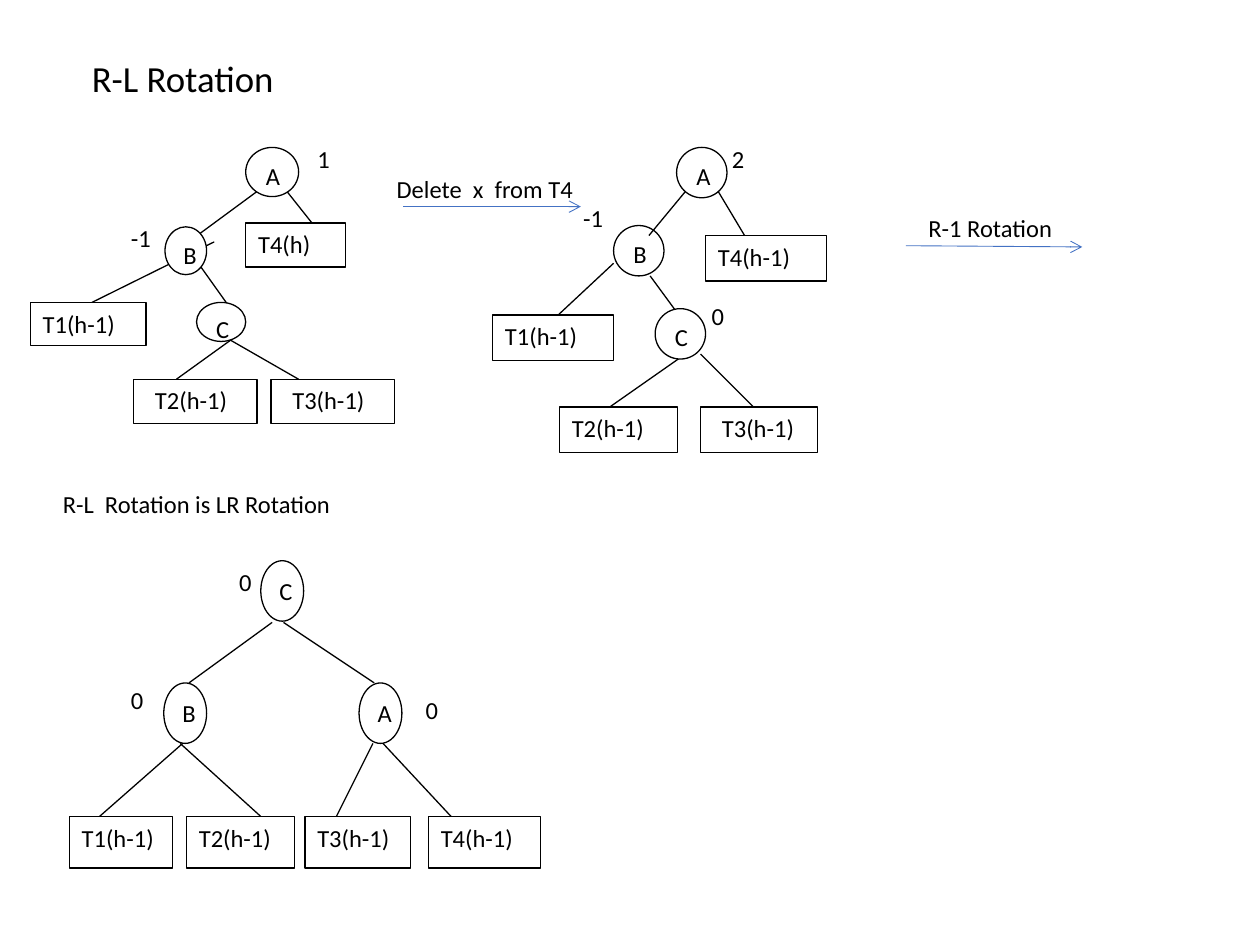
from lxml import etree
from pptx import Presentation
from pptx.dml.color import RGBColor
from pptx.enum.shapes import MSO_CONNECTOR, MSO_SHAPE
from pptx.enum.text import MSO_ANCHOR, MSO_AUTO_SIZE, PP_ALIGN
from pptx.oxml.ns import qn
from pptx.util import Inches, Pt

CIRCLE, RECTANGLE = MSO_SHAPE.FLOWCHART_CONNECTOR, MSO_SHAPE.RECTANGLE
STRAIGHT = MSO_CONNECTOR.STRAIGHT
TOP, LEFT = MSO_ANCHOR.TOP, PP_ALIGN.LEFT
FIT_SHAPE = MSO_AUTO_SIZE.SHAPE_TO_FIT_TEXT

BLACK = RGBColor(0x00, 0x00, 0x00)
WHITE = RGBColor(0xFF, 0xFF, 0xFF)
BLUE = RGBColor(0x44, 0x72, 0xC4)
FONT, BODY_SIZE, TITLE_SIZE = "Calibri", 14, 21
INSET, LEAF_INDENT = 0.1, 0.07

# Nodes and leaves: label, left, top, width, height (leaves may add an indent).
# Edges: start x, start y, end x, end y; "front" edges lie over the nodes.
BEFORE_DELETION = {
    "back": [(2.04, 1.52, 1.51, 1.91), (2.27, 1.51, 2.5, 1.8),
             (1.7, 1.92, 0.73, 2.4), (1.51, 2, 1.93, 2.59)],
    "nodes": [("A", 1.95, 1.17, 0.42, 0.39), ("B", 1.31, 1.8, 0.33, 0.38),
              ("C", 1.56, 2.4, 0.39, 0.31)],
    "leaves": [("T4(h)", 1.95, 1.77, 0.79, 0.35),
               ("T1(h-1)", 0.24, 2.4, 0.92, 0.34),
               ("T2(h-1)", 1.06, 3.01, 0.98, 0.35, LEAF_INDENT),
               ("T3(h-1)", 2.15, 3.01, 0.98, 0.35, LEAF_INDENT)],
    "front": [(1.83, 2.7, 2.37, 3.01), (1.83, 2.7, 1.4, 3.01)],
    "balances": [("1", 2.42, 1.09), ("-1", 0.94, 1.72)],
}
AFTER_DELETION = {
    "back": [(5.16, 2.19, 5.38, 2.49), (5.44, 2.81, 4.84, 3.23)],
    "nodes": [("A", 5.37, 1.17, 0.4, 0.4), ("B", 4.87, 1.79, 0.4, 0.4),
              ("C", 5.2, 2.45, 0.4, 0.4)],
    "leaves": [("T4(h-1)", 5.6, 1.87, 0.96, 0.36),
               ("T1(h-1)", 3.91, 2.5, 0.96, 0.36),
               ("T2(h-1)", 4.44, 3.23, 0.94, 0.36),
               ("T3(h-1)", 5.56, 3.23, 0.93, 0.36, LEAF_INDENT)],
    "front": [(5.44, 1.52, 5.15, 1.87), (4.87, 2.09, 4.43, 2.5),
              (5.7, 1.52, 5.91, 1.87), (5.56, 2.81, 5.98, 3.23)],
    "balances": [("2", 5.71, 1.09), ("-1", 4.53, 1.56), ("0", 5.55, 2.34)],
}
AFTER_ROTATION = {
    "back": [],
    "nodes": [("C", 2.07, 4.45, 0.34, 0.48), ("B", 1.3, 5.42, 0.34, 0.48),
              ("A", 2.85, 5.42, 0.34, 0.48)],
    "leaves": [("T1(h-1)", 0.55, 6.48, 0.82, 0.41),
               ("T2(h-1)", 1.48, 6.48, 0.86, 0.41),
               ("T3(h-1)", 2.42, 6.48, 0.84, 0.41),
               ("T4(h-1)", 3.4, 6.48, 0.89, 0.41)],
    "front": [(2.16, 4.94, 1.5, 5.42), (2.25, 4.94, 2.97, 5.42),
              (1.45, 5.9, 0.79, 6.48), (1.43, 5.9, 2.07, 6.48),
              (2.96, 5.9, 2.67, 6.48), (3.04, 5.9, 3.58, 6.48)],
    "balances": [("0", 1.8, 4.45), ("0", 0.94, 5.39), ("0", 3.28, 5.47)],
}
TREES = [BEFORE_DELETION, AFTER_DELETION, AFTER_ROTATION]

# Text, left, top, width, height, size
CAPTIONS = [
    ("Delete  x  from T4", 3.05, 1.33, 1.6, 0.34, BODY_SIZE),
    ("R-1 Rotation", 7.27, 1.64, 1.19, 0.34, BODY_SIZE),
    ("R-L  Rotation is LR Rotation", 0.4, 3.83, 2.34, 0.57, BODY_SIZE),
    ("R-L Rotation", 0.63, 0.39, 1.65, 0.45, TITLE_SIZE),
]
STEP_ARROWS = [(3.2, 1.64, 4.61, 1.64), (7.19, 1.95, 8.59, 1.96)]


def write(frame, text, size=BODY_SIZE):
    frame.text = text
    frame.vertical_anchor = TOP
    paragraph = frame.paragraphs[0]
    paragraph.alignment = LEFT
    font = paragraph.runs[0].font
    font.name, font.size = FONT, Pt(size)
    font.color.rgb = BLACK


def add_caption(slide, text, left, top, width, height, size=BODY_SIZE):
    box = slide.shapes.add_textbox(*map(Inches, (left, top, width, height)))
    box.text_frame.word_wrap = False
    box.text_frame.auto_size = FIT_SHAPE
    write(box.text_frame, text, size)


def add_tree_part(slide, kind, label, left, top, width, height, indent=0):
    part = slide.shapes.add_shape(kind, *map(Inches, (left, top, width, height)))
    part.shadow.inherit = False
    part.fill.solid()
    part.fill.fore_color.rgb = WHITE
    part.line.color.rgb = BLACK
    part.line.width = Pt(0.75)
    part.text_frame.word_wrap = True
    part.text_frame.margin_left = Inches(INSET + indent)
    write(part.text_frame, label)


def add_line(slide, ends, color=BLACK, width=0.75, arrow=False):
    line = slide.shapes.add_connector(STRAIGHT, *map(Inches, ends))
    line.line.color.rgb = color
    line.line.width = Pt(width)
    if arrow:
        etree.SubElement(line.line._get_or_add_ln(), qn("a:tailEnd"), type="arrow")
    etree.SubElement(line._element.spPr, qn("a:effectLst"))


def add_tree(slide, tree):
    for edge in tree["back"]:
        add_line(slide, edge)
    for node in tree["nodes"]:
        add_tree_part(slide, CIRCLE, *node)
    for leaf in tree["leaves"]:
        add_tree_part(slide, RECTANGLE, *leaf)
    for edge in tree["front"]:
        add_line(slide, edge)
    for factor, left, top in tree["balances"]:
        width = 0.24 + 0.06 * len(factor)
        add_caption(slide, factor, left, top, width, 0.34)


def main():
    deck = Presentation()
    deck.slide_width, deck.slide_height = Inches(10), Inches(7.5)
    slide = deck.slides.add_slide(deck.slide_layouts[6])

    # Trees before deletion, after deletion and after rotation
    for tree in TREES:
        add_tree(slide, tree)

    # Captions and the arrows between steps
    for caption in CAPTIONS:
        add_caption(slide, *caption)
    for ends in STEP_ARROWS:
        add_line(slide, ends, BLUE, 0.5, arrow=True)

    deck.save("out.pptx")


if __name__ == "__main__":
    main()
